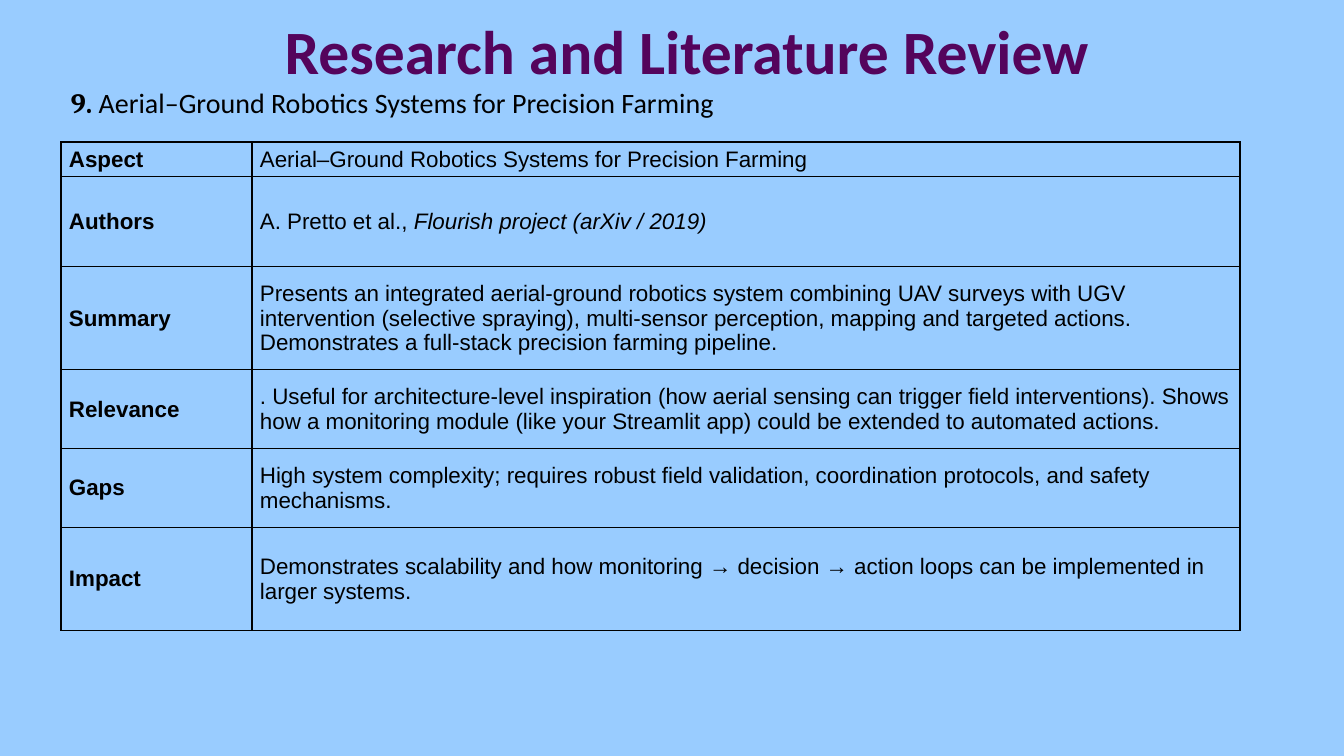
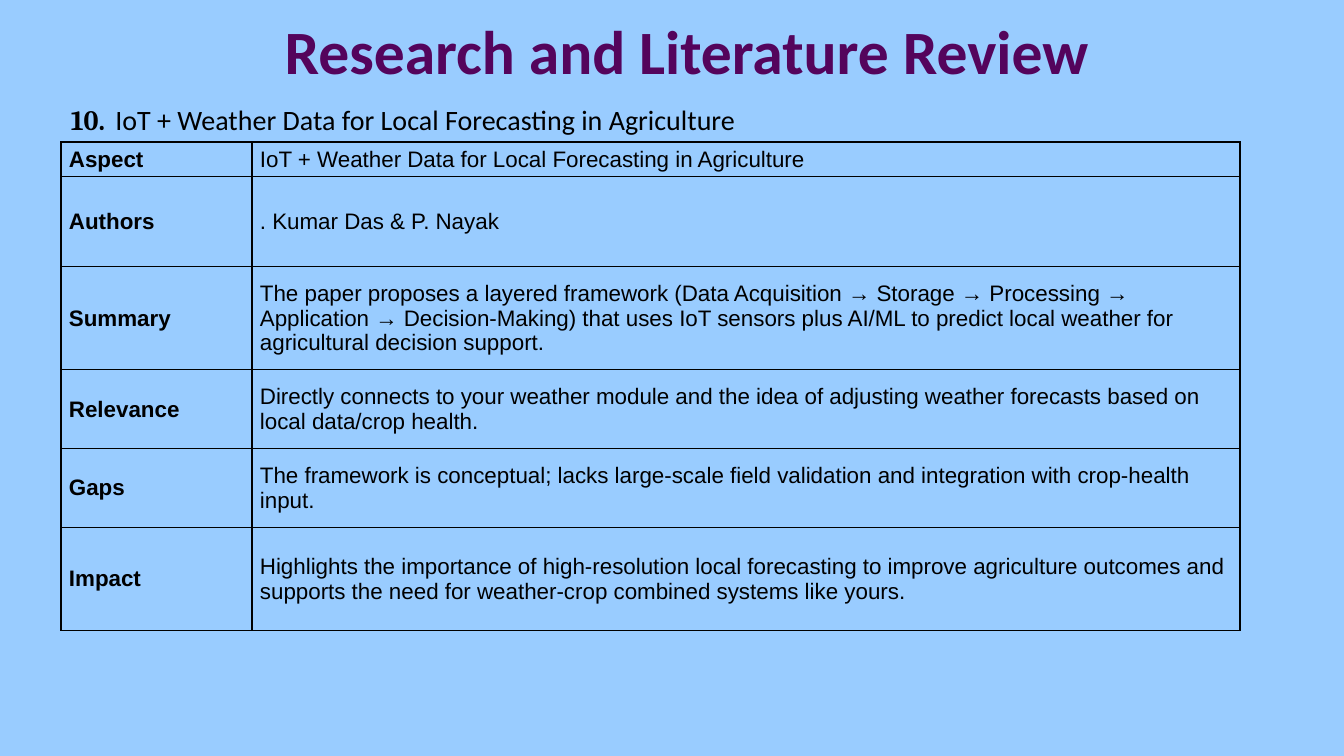
import pptx
import pptx.dml.color
import pptx.enum.text
import pptx.oxml
import pptx.oxml.ns
import pptx.util

TITLE = "Research and Literature Review "
ASPECTS = ["Aspect", "Authors", "Summary", "Relevance", "Gaps", "Impact"]

# Each paper: number, size of the space after it, name, then one entry per
# remaining aspect as a list of (text, italic) runs.
PAPERS = [
    {
        "number": "9.", "space_size": 20,
        "name": "Aerial–Ground Robotics Systems for Precision Farming",
        "details": [
            [("A. Pretto et al., ", False), ("Flourish project (arXiv / 2019)", True)],
            [("Presents an integrated aerial-ground robotics system combining UAV surveys "
              "with UGV intervention (selective spraying), multi-sensor perception, mapping "
              "and targeted actions. Demonstrates a full-stack precision farming pipeline.", False)],
            [(". Useful for architecture-level inspiration (how aerial sensing can trigger "
              "field interventions). Shows how a monitoring module (like your Streamlit app) "
              "could be extended to automated actions.", False)],
            [("High system complexity; requires robust field validation, coordination "
              "protocols, and safety mechanisms.", False)],
            [("Demonstrates scalability and how monitoring → decision → action loops can be "
              "implemented in larger systems.", False)],
        ],
    },
    {
        "number": "10.", "space_size": 32,
        "name": "IoT + Weather Data for Local Forecasting in Agriculture",
        "details": [
            [(". Kumar Das & P. Nayak", False)],
            [("The paper proposes a layered framework (Data Acquisition → Storage → Processing "
              "→ Application → Decision‐Making) that uses IoT sensors plus AI/ML to predict "
              "local weather for agricultural decision support.", False)],
            [("Directly connects to your weather module and the idea of adjusting weather "
              "forecasts based on local data/crop health.", False)],
            [("The framework is conceptual; lacks large‐scale field validation and integration "
              "with crop‐health input.", False)],
            [("Highlights the importance of high‐resolution local forecasting to improve "
              "agriculture outcomes and supports the need for weather‐crop combined systems "
              "like yours.", False)],
        ],
    },
]

# Shared look
COLORS = {"sky": "99CCFF", "plum": "54045C", "ink": "000000"}
FORMATS = {
    "title": {"name": "Calibri", "size": 44, "bold": True, "color": "plum"},
    "number": {"name": "Cambria", "size": 20, "bold": True, "color": "ink"},
    "heading": {"name": "Calibri", "size": 20, "bold": False, "color": "ink"},
    "label": {"name": "Arial", "size": 16, "bold": True, "color": "ink"},
    "detail": {"name": "Arial", "size": 16, "bold": False, "color": "ink"},
}

# Layout in px
SLIDE_W, SLIDE_H = 1344, 756
TITLE_BOX = (89, -13, 1210, 126)
HEADING_BOX = (61, 81, 1210, 499)
TABLE_LEFT, TABLE_TOP = 61, 142
COL_WIDTHS = [191, 988]
ROW_HEIGHTS = [33, 90, 103, 79, 79, 103]
CELL_MARGINS = {"margin_left": 8, "margin_right": 8, "margin_top": 4, "margin_bottom": 4}
BORDER_PT = 1

MIDDLE = pptx.enum.text.MSO_ANCHOR.MIDDLE
TOP = pptx.enum.text.MSO_ANCHOR.TOP
CENTER = pptx.enum.text.PP_ALIGN.CENTER
LEFT = pptx.enum.text.PP_ALIGN.LEFT


def px(n):
    return pptx.util.Emu(round(n * 12192000 / SLIDE_W))


def rgb(key):
    return pptx.dml.color.RGBColor.from_string(COLORS[key])


def add_run(p, text, style, **changes):
    values = {**FORMATS[style], **changes}
    r = p.add_run()
    r.text = text
    r.font.color.rgb = rgb(values.pop("color"))
    values["size"] = pptx.util.Pt(values["size"])
    for name, value in values.items():
        setattr(r.font, name, value)


def add_text(s, box, anchor, align):
    tf = s.shapes.add_textbox(*map(px, box)).text_frame
    tf.word_wrap = True
    tf.vertical_anchor = anchor
    p = tf.paragraphs[0]
    p.alignment = align
    return p


def set_borders(cell):
    tc_pr = cell._tc.get_or_add_tcPr()
    for i, side in enumerate(("lnL", "lnR", "lnT", "lnB")):
        tc_pr.insert(i, pptx.oxml.parse_xml(
            f'<a:{side} {pptx.oxml.ns.nsdecls("a")} w="{pptx.util.Pt(BORDER_PT)}">'
            f'<a:solidFill><a:srgbClr val="{COLORS["ink"]}"/></a:solidFill></a:{side}>'))


def fill_cell(cell, runs, style):
    cell.fill.background()
    cell.vertical_anchor = MIDDLE
    for name, value in CELL_MARGINS.items():
        setattr(cell, name, px(value))
    for text, italic in runs:
        add_run(cell.text_frame.paragraphs[0], text, style, italic=italic)
    set_borders(cell)


def add_review_table(s, paper):
    table = s.shapes.add_table(
        len(ROW_HEIGHTS), len(COL_WIDTHS), px(TABLE_LEFT), px(TABLE_TOP),
        px(sum(COL_WIDTHS)), px(sum(ROW_HEIGHTS))).table
    table.first_row = table.horz_banding = False
    for col, width in zip(table.columns, COL_WIDTHS):
        col.width = px(width)
    for row, height in zip(table.rows, ROW_HEIGHTS):
        row.height = px(height)
    details = [[(paper["name"], False)]] + paper["details"]
    for i, (aspect, runs) in enumerate(zip(ASPECTS, details)):
        fill_cell(table.cell(i, 0), [(aspect, False)], "label")
        fill_cell(table.cell(i, 1), runs, "detail")


def add_review_slide(prs, paper):
    s = prs.slides.add_slide(prs.slide_layouts[6])
    s.background.fill.solid()
    s.background.fill.fore_color.rgb = rgb("sky")
    # Title
    add_run(add_text(s, TITLE_BOX, MIDDLE, CENTER), TITLE, "title")
    # Numbered paper heading
    p = add_text(s, HEADING_BOX, TOP, LEFT)
    add_run(p, paper["number"], "number")
    add_run(p, " ", "heading", size=paper["space_size"])
    add_run(p, paper["name"], "heading")
    # Review table
    add_review_table(s, paper)


def main():
    prs = pptx.Presentation()
    prs.slide_width, prs.slide_height = px(SLIDE_W), px(SLIDE_H)
    for paper in PAPERS:
        add_review_slide(prs, paper)
    prs.save("out.pptx")


if __name__ == "__main__":
    main()
